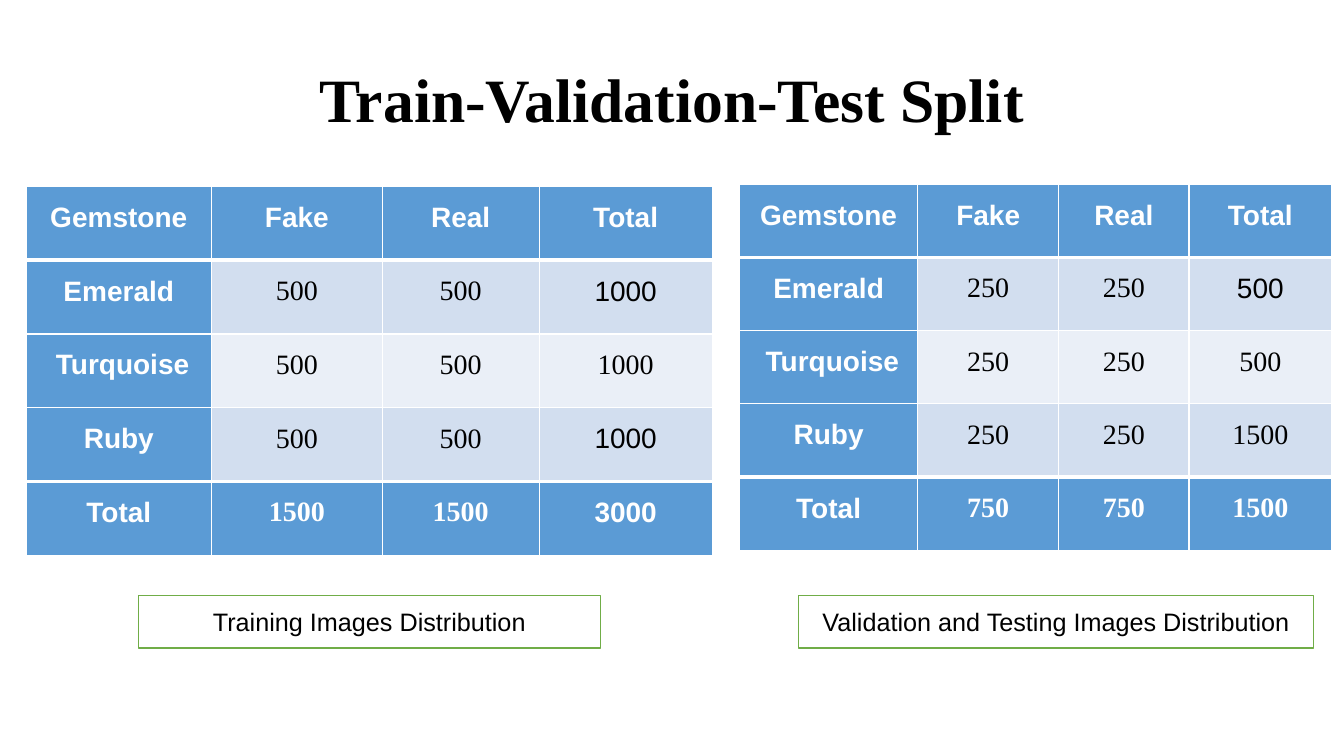
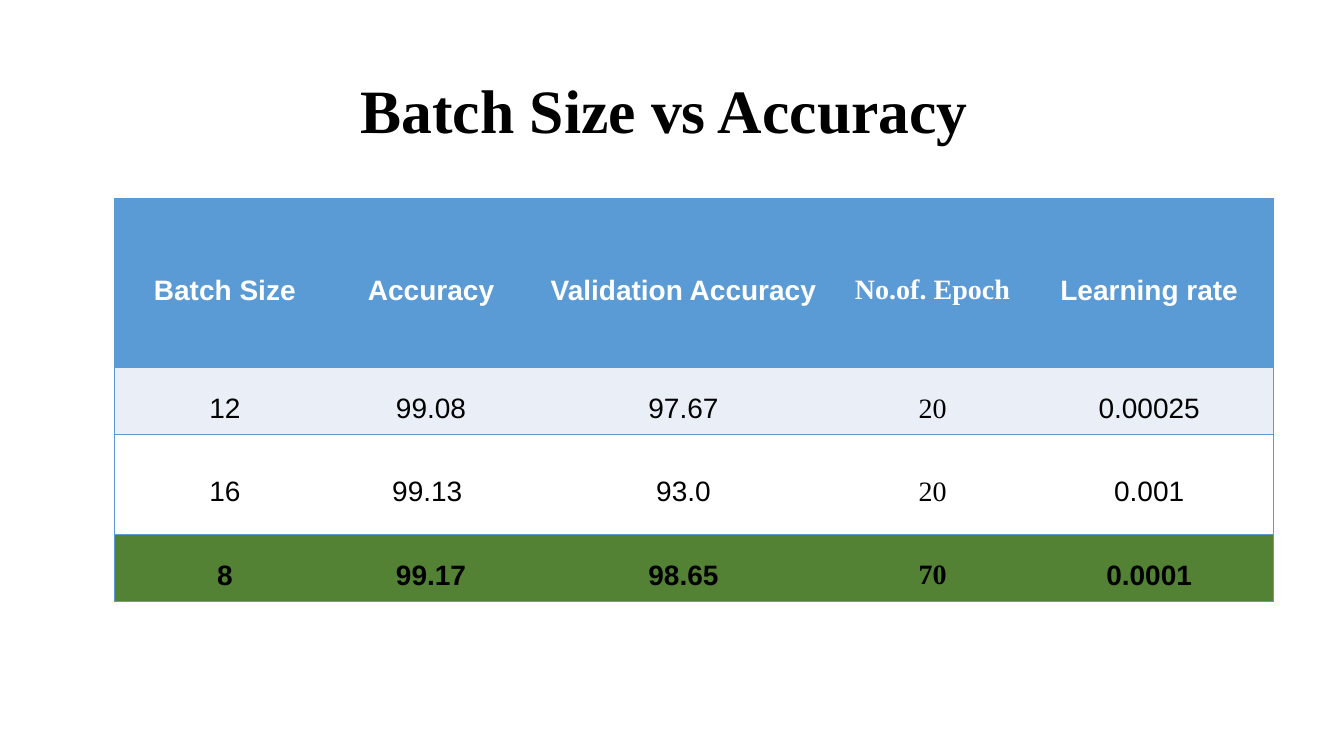
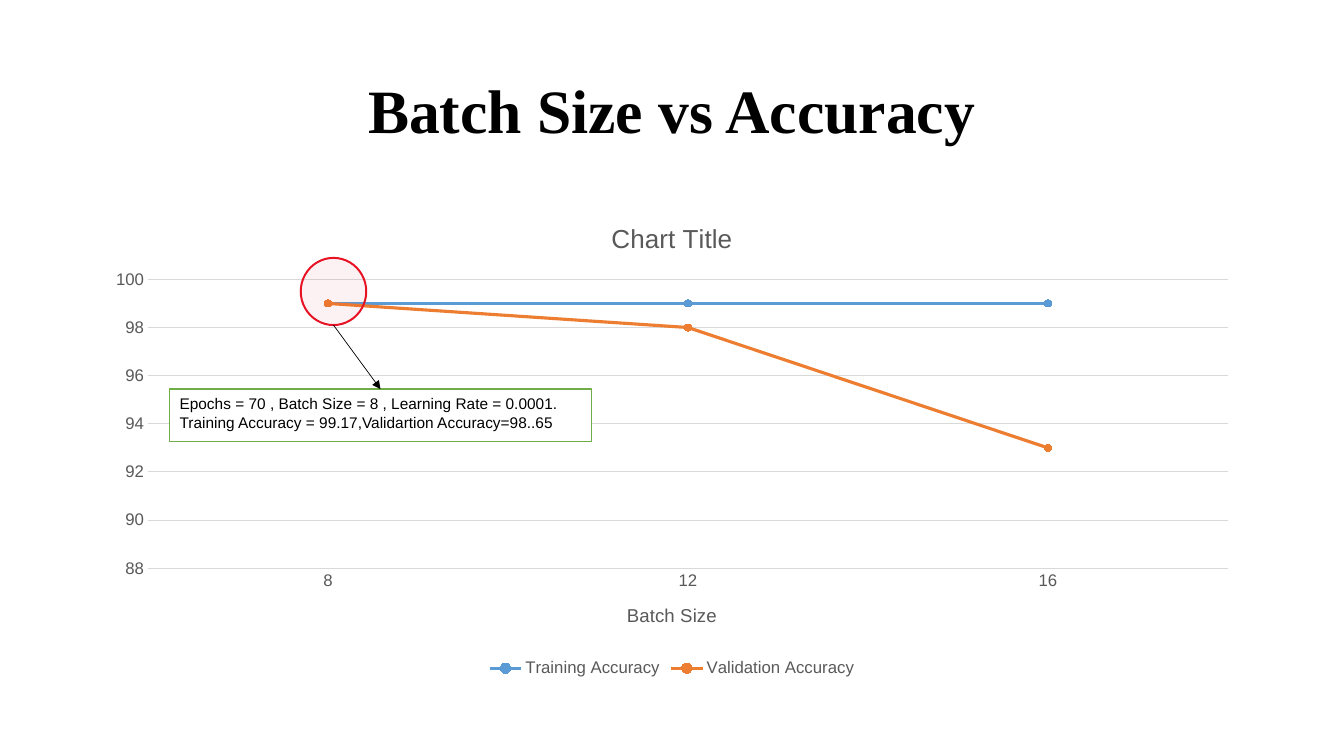
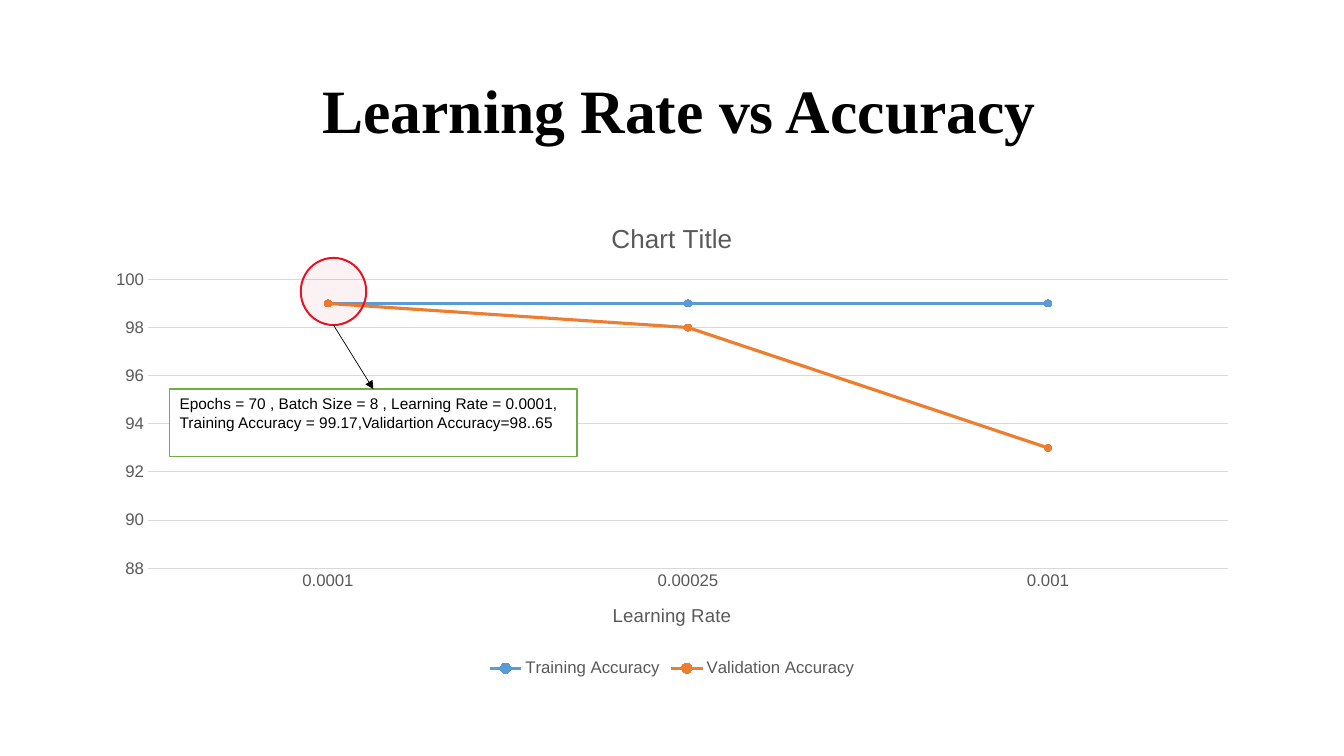
from dataclasses import dataclass, field
from itertools import product
from typing import Callable, Optional

from lxml.etree import SubElement
from pptx import Presentation
from pptx.chart.data import CategoryChartData
from pptx.dml.color import RGBColor
from pptx.enum.chart import (XL_CHART_TYPE as ChartType, XL_LEGEND_POSITION as LegendPos,
                             XL_MARKER_STYLE as Marker, XL_TICK_MARK as Tick)
from pptx.enum.shapes import MSO_CONNECTOR as Connector, MSO_SHAPE as Shape
from pptx.enum.text import MSO_ANCHOR as Anchor, MSO_AUTO_SIZE as AutoSize, PP_ALIGN as Align
from pptx.oxml import parse_xml
from pptx.oxml.ns import nsdecls, qn
from pptx.util import Inches, Pt

# Shared look
COLORS = {
    "white": "FFFFFF", "black": "000000", "gray": "595959", "rule": "D9D9D9",
    "blue": "5B9BD5", "band": "D2DEEF", "pale": "EAEFF7", "orange": "ED7D31",
    "green": "70AD47", "best": "548235", "red": "E71224",
}
SANS, SERIF = "Arial", "Times New Roman"
COLUMNS, ROWS = 160, 90  # the slide grid: 12 units to the inch
CELL_MARGIN = 0.87


def grid(units: float) -> int:
    return Inches(units / 12)


def rgb(name: str) -> RGBColor:
    return RGBColor.from_string(COLORS[name])


@dataclass(frozen=True)
class Box:
    left: float
    top: float
    width: float
    height: float

    def emu(self) -> tuple[int, int, int, int]:
        return grid(self.left), grid(self.top), grid(self.width), grid(self.height)


@dataclass(frozen=True)
class Edge:
    color: str
    points: float


@dataclass(frozen=True)
class CellStyle:
    fill: str
    color: str
    bold: bool
    font: str
    edges: dict[str, Optional[Edge]]


@dataclass(frozen=True)
class TableSpec:
    left: float
    top: float
    widths: list[float]
    heights: list[float]
    texts: list[list[str]]
    style: Callable[[int, int], CellStyle]
    anchor: Anchor = Anchor.TOP
    space_after: float = 0
    nudges: dict[tuple[int, int], float] = field(default_factory=dict)


@dataclass(frozen=True)
class AccuracyChart:
    title: str
    axis: str
    categories: list[str]
    note: str
    note_box: Box
    title_shift: float = 0


def set_font(font, size: float, color: str, name: str = SANS, bold: bool = False) -> None:
    font.size, font.name, font.bold = Pt(size), name, bold
    font.color.rgb = rgb(color)


def add_titled_slide(prs, title: str, height: float = 17.4, shift: float = 0):
    slide = prs.slides.add_slide(prs.slide_layouts[5])
    heading = slide.shapes.title
    heading.left, heading.top, heading.width, heading.height = Box(11 + shift, 4.8, 138, height).emu()
    frame = heading.text_frame
    frame.text = title
    frame.auto_size, frame.vertical_anchor = AutoSize.NONE, Anchor.MIDDLE
    line = frame.paragraphs[0]
    line.alignment, line.line_spacing = Align.CENTER, 0.9
    set_font(line.font, 44, "black", SERIF, True)
    return slide


def add_panel(slide, box: Box, kind: Shape, fill: str, line: str, points: float = 1):
    panel = slide.shapes.add_shape(kind, *box.emu())
    panel.shadow.inherit = False
    panel.fill.solid()
    panel.fill.fore_color.rgb = rgb(fill)
    panel.line.color.rgb = rgb(line)
    panel.line.width = Pt(points)
    return panel


def add_note(slide, box: Box, text: str, size: float, align: Align, anchor: Anchor) -> None:
    frame = add_panel(slide, box, Shape.RECTANGLE, "white", "green").text_frame
    frame.word_wrap, frame.vertical_anchor = True, anchor
    frame.text = text
    frame.paragraphs[0].alignment = align
    set_font(frame.paragraphs[0].font, size, "black")


# Tables
def set_edges(cell, edges: dict[str, Optional[Edge]]) -> None:
    props = cell._tc.get_or_add_tcPr()
    for index, side in enumerate("LRTB"):
        edge = edges.get(side)
        paint = (f'<a:solidFill><a:srgbClr val="{COLORS[edge.color]}"/></a:solidFill>'
                 if edge else "<a:noFill/>")
        width = Pt(edge.points) if edge else 0
        props.insert(index, parse_xml(f'<a:ln{side} {nsdecls("a")} w="{width}">{paint}</a:ln{side}>'))


def add_grid_table(slide, spec: TableSpec) -> None:
    box = Box(spec.left, spec.top, sum(spec.widths), sum(spec.heights))
    table = slide.shapes.add_table(len(spec.heights), len(spec.widths), *box.emu()).table
    for column, width in zip(table.columns, spec.widths):
        column.width = grid(width)
    for row, height in zip(table.rows, spec.heights):
        row.height = grid(height)
    for r, c in product(range(len(spec.heights)), range(len(spec.widths))):
        cell, style, nudge = table.cell(r, c), spec.style(r, c), spec.nudges.get((r, c), 0)
        cell.margin_left = grid(CELL_MARGIN + max(nudge, 0))
        cell.margin_right = grid(CELL_MARGIN + max(-nudge, 0))
        cell.margin_top = cell.margin_bottom = 0
        cell.vertical_anchor = spec.anchor
        cell.fill.solid()
        cell.fill.fore_color.rgb = rgb(style.fill)
        set_edges(cell, style.edges)
        cell.text = spec.texts[r][c]
        line = cell.text_frame.paragraphs[0]
        line.alignment, line.line_spacing = Align.CENTER, 1.5
        line.space_after = Pt(spec.space_after)
        set_font(line.font, 20, style.color, style.font, style.bold)


def split_style(sans_totals: set[int]) -> Callable[[int, int], CellStyle]:
    """Style of a split table; sans_totals are the rows whose total is in the sans font."""
    def style(r: int, c: int) -> CellStyle:
        strong = r in (0, 4) or c == 0
        sans = r == 0 or c == 0 or (c == 3 and r in sans_totals)
        thin, thick = Edge("white", 1), Edge("white", 3)
        edges = {"L": thin, "R": thin,
                 "T": thick if r in (1, 4) else thin,
                 "B": thick if r in (0, 3) else thin}
        fill = "blue" if strong else "pale" if r == 2 else "band"
        return CellStyle(fill, "white" if strong else "black", strong, SANS if sans else SERIF, edges)
    return style


def result_style(r: int, c: int) -> CellStyle:
    rule = Edge("blue", 1)
    edges = {"T": rule, "B": rule, "L": rule if c == 0 else None, "R": rule if c == 4 else None}
    return CellStyle(("blue", "pale", "white", "best")[r], "black" if r else "white",
                     r in (0, 3), SERIF if c == 3 else SANS, edges)


def split_texts(each: str, totals: list[str], sums: list[str]) -> list[list[str]]:
    stones = ["Emerald", "Turquoise", "Ruby"]
    return [["Gemstone", "Fake", "Real", "Total"],
            *([stone, each, each, total] for stone, total in zip(stones, totals)),
            ["Total", *sums]]


SPLIT_TABLES = [
    TableSpec(3.1, 22.2, [22.1, 20.3, 18.7, 20.6], [8.78] * 5,
              split_texts("500", ["1000"] * 3, ["1500", "1500", "3000"]),
              split_style({1, 3, 4}), nudges={(2, 0): 0.9}),
    TableSpec(88.05, 21.93, [21.2, 16.8, 15.5, 17], [8.72] * 5,
              split_texts("250", ["500", "500", "1500"], ["750", "750", "1500"]),
              split_style({1}), nudges={(2, 0): 0.9}),
]
SPLIT_CAPTIONS = [
    (Box(16.47, 70.87, 55, 6.3), "Training Images Distribution"),
    (Box(95.05, 70.87, 61.3, 6.3), "Validation and Testing Images Distribution"),
]
RESULTS = TableSpec(
    13.62, 23.6, [26.3, 22.8, 37.3, 22, 29.6], [20.12, 7.98, 11.9, 7.98],
    [["Batch Size", "Accuracy", "Validation Accuracy", "No.of. Epoch", "Learning rate"],
     ["12", "99.08", "97.67", "20", "0.00025"],
     ["16", "99.13", "93.0", "20", "0.001"],
     ["8", "99.17", "98.65", "70", "0.0001"]],
    result_style, Anchor.MIDDLE, 5.3, {(2, 1): -0.9})

# Charts
ACCURACY = [("Training Accuracy", "blue", (99, 99, 99)),
            ("Validation Accuracy", "orange", (99, 98, 93))]
CHART_BOX = Box(11, 24, 138, 57.1)
PLOT_BOX = Box(17.62, 33.27, 128.57, 34.4)
BEST_POINT = Box(35.8, 30.7, 7.8, 8)
CHARTS = [
    AccuracyChart("Batch Size vs Accuracy", "Batch Size", ["8", "12", "16"],
                  "Epochs = 70 , Batch Size = 8 , Learning Rate = 0.0001. "
                  "Training Accuracy = 99.17,Validartion Accuracy=98..65",
                  Box(20.2, 46.33, 50.2, 6.22)),
    AccuracyChart("Learning Rate vs Accuracy", "Learning Rate", ["0.0001", "0.00025", "0.001"],
                  "Epochs = 70 , Batch Size = 8 , Learning Rate = 0.0001, "
                  "Training Accuracy = 99.17,Validartion Accuracy=98..65",
                  Box(20.2, 46.33, 48.5, 8), 0.9),
]


def set_chart_text(frame, text: str, size: float) -> None:
    frame.text = text
    set_font(frame.paragraphs[0].font, size, "gray")


def add_accuracy_chart(slide, spec: AccuracyChart) -> None:
    data = CategoryChartData()
    data.categories = spec.categories
    for name, _, values in ACCURACY:
        data.add_series(name, values)
    chart = slide.shapes.add_chart(ChartType.LINE_MARKERS, *CHART_BOX.emu(), data).chart
    set_font(chart.font, 10, "black")
    chart.has_title = True
    set_chart_text(chart.chart_title.text_frame, "Chart Title", 18.6)
    chart.has_legend = True
    chart.legend.position, chart.legend.include_in_layout = LegendPos.BOTTOM, False
    set_font(chart.legend.font, 12, "gray")

    # Axes
    across, up = chart.category_axis, chart.value_axis
    for axis in (across, up):
        axis.major_tick_mark = axis.minor_tick_mark = Tick.NONE
        set_font(axis.tick_labels.font, 12, "gray")
    set_chart_text(across.axis_title.text_frame, spec.axis, 13.3)
    up.minimum_scale, up.maximum_scale, up.major_unit = 88, 100, 2
    up.format.line.fill.background()
    for line in (across.format.line, up.major_gridlines.format.line):
        line.color.rgb, line.width = rgb("rule"), Pt(0.75)

    # Series
    chart.plots[0].vary_by_categories = False
    for series, (_, color, _) in zip(chart.plots[0].series, ACCURACY):
        series.smooth = False
        series.format.line.color.rgb, series.format.line.width = rgb(color), Pt(2.25)
        marker = series.marker
        marker.style, marker.size = Marker.CIRCLE, 5
        marker.format.fill.solid()
        marker.format.fill.fore_color.rgb = marker.format.line.color.rgb = rgb(color)

    # Fixed plot area, as shares of the chart
    plot = chart._chartSpace.chart.plotArea
    for old in plot.findall(qn("c:layout")):
        plot.remove(old)
    shares = {"x": (PLOT_BOX.left - CHART_BOX.left) / CHART_BOX.width,
              "y": (PLOT_BOX.top - CHART_BOX.top) / CHART_BOX.height,
              "w": PLOT_BOX.width / CHART_BOX.width,
              "h": PLOT_BOX.height / CHART_BOX.height}
    places = "".join(f'<c:{key} val="{share:.4f}"/>' for key, share in shares.items())
    plot.insert(0, parse_xml(
        f'<c:layout {nsdecls("c")}><c:manualLayout><c:layoutTarget val="inner"/>'
        f'<c:xMode val="edge"/><c:yMode val="edge"/>{places}</c:manualLayout></c:layout>'))


def add_best_point(slide, note: str, note_box: Box) -> None:
    ring = add_panel(slide, BEST_POINT, Shape.OVAL, "red", "red", 1.42)
    tint = ring.fill._xPr.find(qn("a:solidFill"))[0]
    SubElement(tint, qn("a:alpha"), val="5000")
    add_note(slide, note_box, note, 11, Align.LEFT, Anchor.TOP)
    arrow = slide.shapes.add_connector(
        Connector.STRAIGHT,
        grid(BEST_POINT.left + BEST_POINT.width / 2), grid(BEST_POINT.top + BEST_POINT.height),
        grid(note_box.left + note_box.width / 2), grid(note_box.top))
    arrow.line.color.rgb, arrow.line.width = rgb("black"), Pt(0.5)
    SubElement(arrow.line._get_or_add_ln(), qn("a:tailEnd"), type="triangle")
    SubElement(arrow._element.spPr, qn("a:effectLst"))


def main() -> None:
    prs = Presentation()
    prs.slide_width, prs.slide_height = grid(COLUMNS), grid(ROWS)

    # Data split
    slide = add_titled_slide(prs, "Train-Validation-Test Split", 14.9)
    for table in SPLIT_TABLES:
        add_grid_table(slide, table)
    for box, caption in SPLIT_CAPTIONS:
        add_note(slide, box, caption, 18, Align.CENTER, Anchor.MIDDLE)

    # Results table
    slide = add_titled_slide(prs, "Batch Size vs Accuracy", shift=-0.9)
    add_grid_table(slide, RESULTS)

    # Result charts
    for spec in CHARTS:
        slide = add_titled_slide(prs, spec.title, shift=spec.title_shift)
        add_accuracy_chart(slide, spec)
        add_best_point(slide, spec.note, spec.note_box)

    prs.save("out.pptx")


if __name__ == "__main__":
    main()
